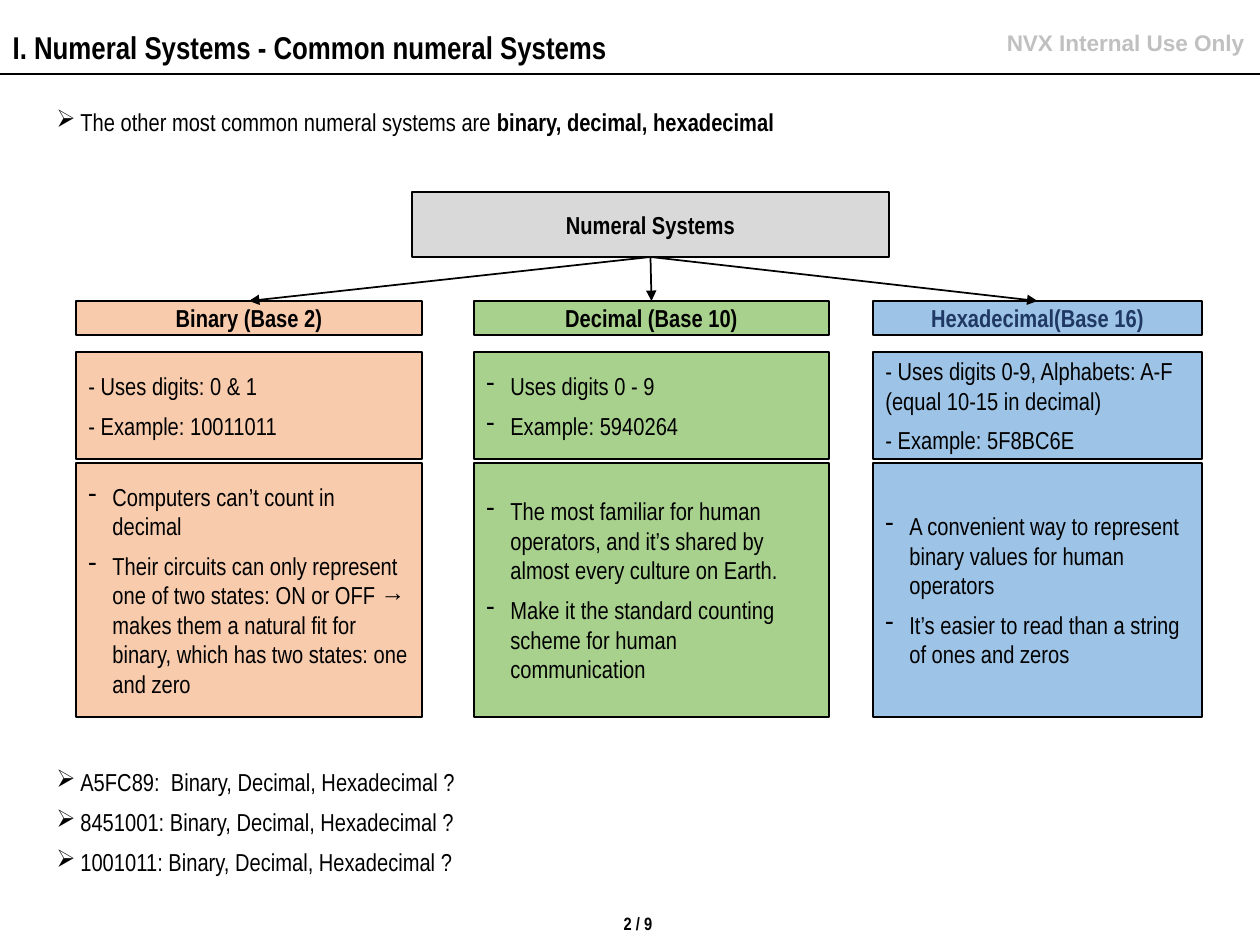
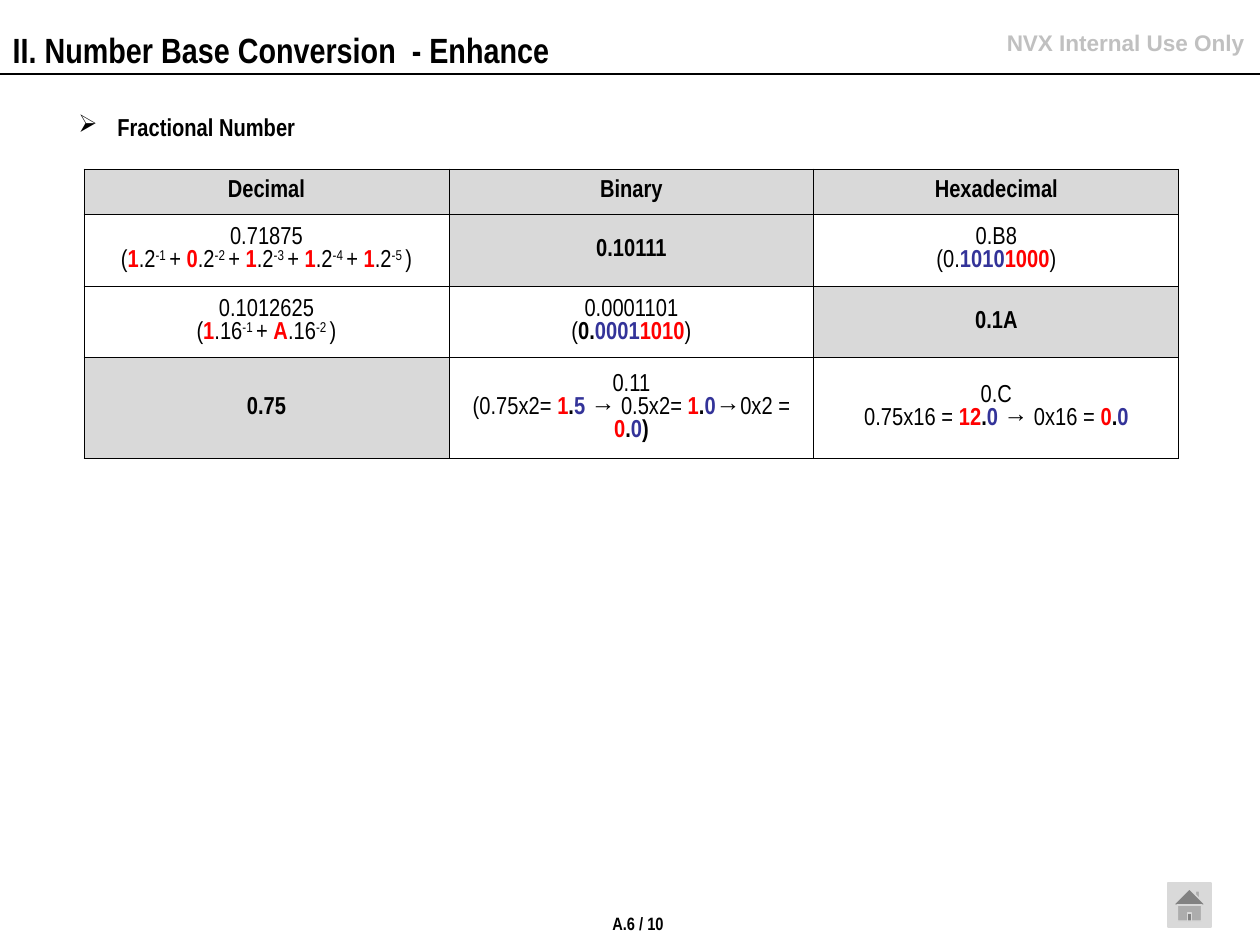
from dataclasses import dataclass

import lxml.etree
import pptx
import pptx.dml.color
import pptx.enum.shapes
import pptx.enum.text
import pptx.oxml.ns
import pptx.util

SCALE = 914400 / 126  # EMU in one px
qn = pptx.oxml.ns.qn
Pt = pptx.util.Pt
rgb = pptx.dml.color.RGBColor.from_string
SHAPE = pptx.enum.shapes.MSO_SHAPE
ALIGN = pptx.enum.text.PP_ALIGN
ANCHOR = pptx.enum.text.MSO_ANCHOR


@dataclass(frozen=True)
class Theme:
    font: str = "Arial Narrow"
    notice_font: str = "Arial"
    black: str = "000000"
    white: str = "FFFFFF"
    notice: str = "C0C0C0"
    gray: str = "D9D9D9"
    orange: str = "F8CBAD"
    green: str = "A9D18E"
    blue: str = "9DC3E6"
    navy: str = "203864"
    red: str = "FF0000"
    indigo: str = "333399"
    body: float = 14
    notice_size: float = 12.9
    page_size: float = 10.2


theme = Theme()
run_colors = {"red": theme.red, "indigo": theme.indigo}


def px(*lengths):
    return [pptx.util.Emu(round(length * SCALE)) for length in lengths]


def write(frame, lines, size=theme.body, font=theme.font, color=theme.black, bold=False,
          align=ALIGN.LEFT, bullet=None, indent=24, before=0, spacing=None):
    """Each line is a text or a list of runs; a run is a text or (text, style)."""
    for number, line in enumerate(lines):
        paragraph = frame.paragraphs[0] if number == 0 else frame.add_paragraph()
        paragraph.alignment = align
        paragraph.space_before = Pt(before)
        if spacing:
            paragraph.line_spacing = spacing
        if bullet:
            properties = paragraph._p.get_or_add_pPr()
            hang = px(indent)[0]
            properties.set("marL", str(hang))
            properties.set("indent", str(-hang))
            lxml.etree.SubElement(properties, qn("a:buSzPts"), val=str(size * 100))
            lxml.etree.SubElement(properties, qn("a:buChar"), char=bullet)
        paragraph.font.name = font
        paragraph.font.size = Pt(size)
        paragraph.font.bold = bold
        paragraph.font.color.rgb = rgb(color)
        for part in [line] if isinstance(line, str) else line:
            text, style = (part, None) if isinstance(part, str) else part
            run = paragraph.add_run()
            run.text = text
            if style == "sup":
                run.font._element.set("baseline", "30000")
            elif style:
                run.font.bold = True
                if style in run_colors:
                    run.font.color.rgb = rgb(run_colors[style])


prs = pptx.Presentation()
prs.slide_width, prs.slide_height = px(1260, 945)

# Shared frame: title, rule, notice and page number
slides = []
for title, title_size, title_width, title_height, page in [
    ("I. Numeral Systems - Common numeral Systems", 18, 651, 50, "2 / 9"),
    ("II. Number Base Conversion  - Enhance", 20, 1055, 55, "A.6 / 10"),
]:
    slide = prs.slides.add_slide(prs.slide_layouts[5])
    slides.append(slide)
    heading = slide.shapes.title
    heading.left, heading.top, heading.width, heading.height = px(0, 22, title_width, title_height)
    heading.text_frame.auto_size = pptx.enum.text.MSO_AUTO_SIZE.NONE
    heading.text_frame.vertical_anchor = ANCHOR.TOP
    write(heading.text_frame, [title], size=title_size, bold=True)

    rule = slide.shapes.add_connector(
        pptx.enum.shapes.MSO_CONNECTOR.STRAIGHT, *px(0, 74, 1260, 74))
    rule.line.color.rgb = rgb(theme.black)
    rule.line.width = Pt(0.75)
    lxml.etree.SubElement(rule._element.spPr, qn("a:effectLst"))

    notice = slide.shapes.add_textbox(*px(909, 23, 346, 40)).text_frame
    notice.word_wrap = True
    notice.margin_left, notice.margin_right = px(11, 11)
    write(notice, ["NVX Internal Use Only"], size=theme.notice_size, font=theme.notice_font,
          color=theme.notice, bold=True, align=ALIGN.RIGHT)

    page_number = slide.shapes.add_textbox(*px(612, 913, 52, 21)).text_frame
    page_number.margin_left = page_number.margin_right = 0
    page_number.margin_top = page_number.margin_bottom = 0
    page_number.word_wrap = False
    write(page_number, [page], size=theme.page_size, bold=True, align=ALIGN.CENTER)

systems_slide, conversion_slide = slides

# Slide 1: statement above the diagram and questions below it
for top, height, lines in [
    (101, 43, [["The other most common numeral systems are ",
                ("binary, decimal, hexadecimal", "bold")]]),
    (761, 123, [f"{number} Binary, Decimal, Hexadecimal ?"
                for number in ("A5FC89: ", "8451001:", "1001011:")]),
]:
    points = systems_slide.shapes.add_textbox(*px(44, top, 1144, height)).text_frame
    points.word_wrap = True
    write(points, lines, bullet="➢", before=6)

# Slide 1: one root box over three columns of boxes
head_style = dict(bold=True, align=ALIGN.CENTER)
plain_style = dict(before=6)
dash_style = dict(before=6, bullet="-")
head_row, digits_row, notes_row = (301, 34), (352, 107), (463, 254)
binary, decimal, hexadecimal = (76, 346), (474, 355), (873, 329)

boxes = [
    ((412, 477), (192, 65), theme.gray, ["Numeral Systems"], head_style),
    (binary, head_row, theme.orange, ["Binary (Base 2)"], head_style),
    (decimal, head_row, theme.green, ["Decimal (Base 10)"], head_style),
    (hexadecimal, head_row, theme.blue, ["Hexadecimal(Base 16)"],
     dict(head_style, color=theme.navy)),
    (binary, digits_row, theme.orange,
     ["- Uses digits: 0 & 1", "- Example: 10011011"], plain_style),
    (decimal, digits_row, theme.green,
     ["Uses digits 0 - 9", "Example: 5940264"], dash_style),
    (hexadecimal, digits_row, theme.blue,
     ["- Uses digits 0-9, Alphabets: A-F (equal 10-15 in decimal)",
      "- Example: 5F8BC6E"], plain_style),
    (binary, notes_row, theme.orange,
     ["Computers can’t count in decimal",
      "Their circuits can only represent one of two states: ON or OFF → makes them "
      "a natural fit for binary, which has two states: one and zero"], dash_style),
    (decimal, notes_row, theme.green,
     ["The most familiar for human operators, and it’s shared by almost every "
      "culture on Earth.",
      "Make it the standard counting scheme for human communication"], dash_style),
    (hexadecimal, notes_row, theme.blue,
     ["A convenient way to represent binary values for human operators",
      "It’s easier to read than a string of ones and zeros"], dash_style),
]
drawn = []
for (left, width), (top, height), fill, lines, style in boxes:
    box = systems_slide.shapes.add_shape(SHAPE.RECTANGLE, *px(left, top, width, height))
    box.shadow.inherit = False
    box.fill.solid()
    box.fill.fore_color.rgb = rgb(fill)
    box.line.color.rgb = rgb(theme.black)
    box.line.width = Pt(1)
    box.text_frame.word_wrap = True
    box.text_frame.vertical_anchor = ANCHOR.MIDDLE
    write(box.text_frame, lines, **style)
    drawn.append(box)

# Slide 1: arrows from the root to the column heads
root, *heads = drawn[:4]
for head in heads:
    arrow = systems_slide.shapes.add_connector(
        pptx.enum.shapes.MSO_CONNECTOR.STRAIGHT, 0, 0, 0, 0)
    arrow.begin_connect(root, 2)
    arrow.end_connect(head, 0)
    arrow.line.color.rgb = rgb(theme.black)
    arrow.line.width = Pt(1)
    lxml.etree.SubElement(arrow.line._get_or_add_ln(), qn("a:tailEnd"), type="triangle")
    lxml.etree.SubElement(arrow._element.spPr, qn("a:effectLst"))

# Slide 2: section label
section = conversion_slide.shapes.add_textbox(*px(66, 99, 255, 59)).text_frame
section.word_wrap = True
section.vertical_anchor = ANCHOR.MIDDLE
write(section, ["Fractional Number"], bold=True, bullet="➢", indent=39, spacing=0.9)

# Slide 2: sums of digits times negative powers of the base
expansions = {}
for base, digits in [(2, "10111"), (16, "1A")]:
    runs = ["("]
    for place, digit in enumerate(digits, 1):
        runs += [(digit, "red"), f".{base}", (f"-{place} ", "sup"),
                 "+ " if place < len(digits) else ")"]
    expansions[base] = runs

# Slide 2: table, where a cell with a single line is a given value on gray
dot = (".", "bold")
conversions = [
    [["Decimal"], ["Binary"], ["Hexadecimal"]],
    [["0.71875", expansions[2]],
     ["0.10111"],
     ["0.B8", ["(0.", ("1010", "indigo"), ("1000", "red"), ")"]]],
    [["0.1012625", expansions[16]],
     ["0.0001101", ["(", ("0.", "bold"), ("0001", "indigo"), ("1010", "red"), ")"]],
     ["0.1A"]],
    [["0.75"],
     ["0.11", ["(0.75x2= ", ("1", "red"), dot, ("5 ", "indigo"), "→ 0.5x2= ",
               ("1", "red"), dot, ("0", "indigo"), "→0x2 = ",
               ("0", "red"), dot, ("0", "indigo"), (")", "bold")]],
     ["0.C", ["0.75x16 = ", ("12", "red"), dot, ("0 ", "indigo"), "→ 0x16 = ",
              ("0", "red"), dot, ("0", "indigo")]]],
]
table = conversion_slide.shapes.add_table(4, 3, *px(84, 169, 1095, 289)).table
table.first_row = table.horz_banding = False
for column in table.columns:
    column.width = px(365)[0]
for row, height, contents in zip(table.rows, px(45, 72, 71, 101), conversions):
    row.height = height
    for cell, lines in zip(row.cells, contents):
        given = len(lines) == 1
        for side in ("lnL", "lnR", "lnT", "lnB"):
            border = lxml.etree.SubElement(
                cell._tc.get_or_add_tcPr(), qn(f"a:{side}"), w=str(Pt(0.5)))
            paint = lxml.etree.SubElement(border, qn("a:solidFill"))
            lxml.etree.SubElement(paint, qn("a:srgbClr"), val=theme.black)
        cell.fill.solid()
        cell.fill.fore_color.rgb = rgb(theme.gray if given else theme.white)
        cell.vertical_anchor = ANCHOR.MIDDLE
        write(cell.text_frame, lines, bold=given, align=ALIGN.CENTER)

# Slide 2: home button
home = conversion_slide.shapes.add_shape(SHAPE.ACTION_BUTTON_HOME, *px(1168, 883, 43, 44))
home.shadow.inherit = False
home.fill.solid()
home.fill.fore_color.rgb = rgb(theme.gray)
home.line.color.rgb = rgb(theme.gray)
home.line.width = Pt(0.75)

prs.save("out.pptx")
